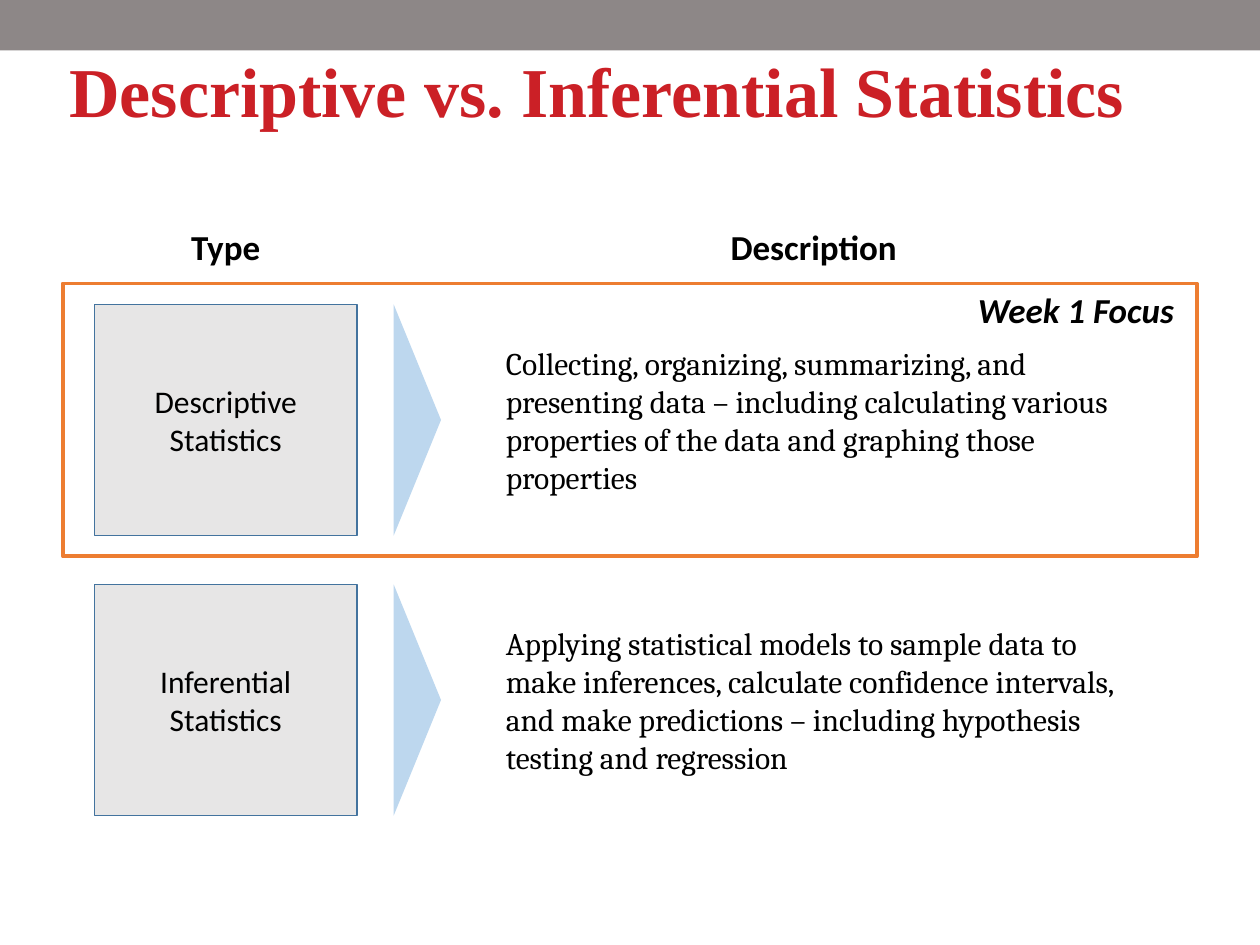
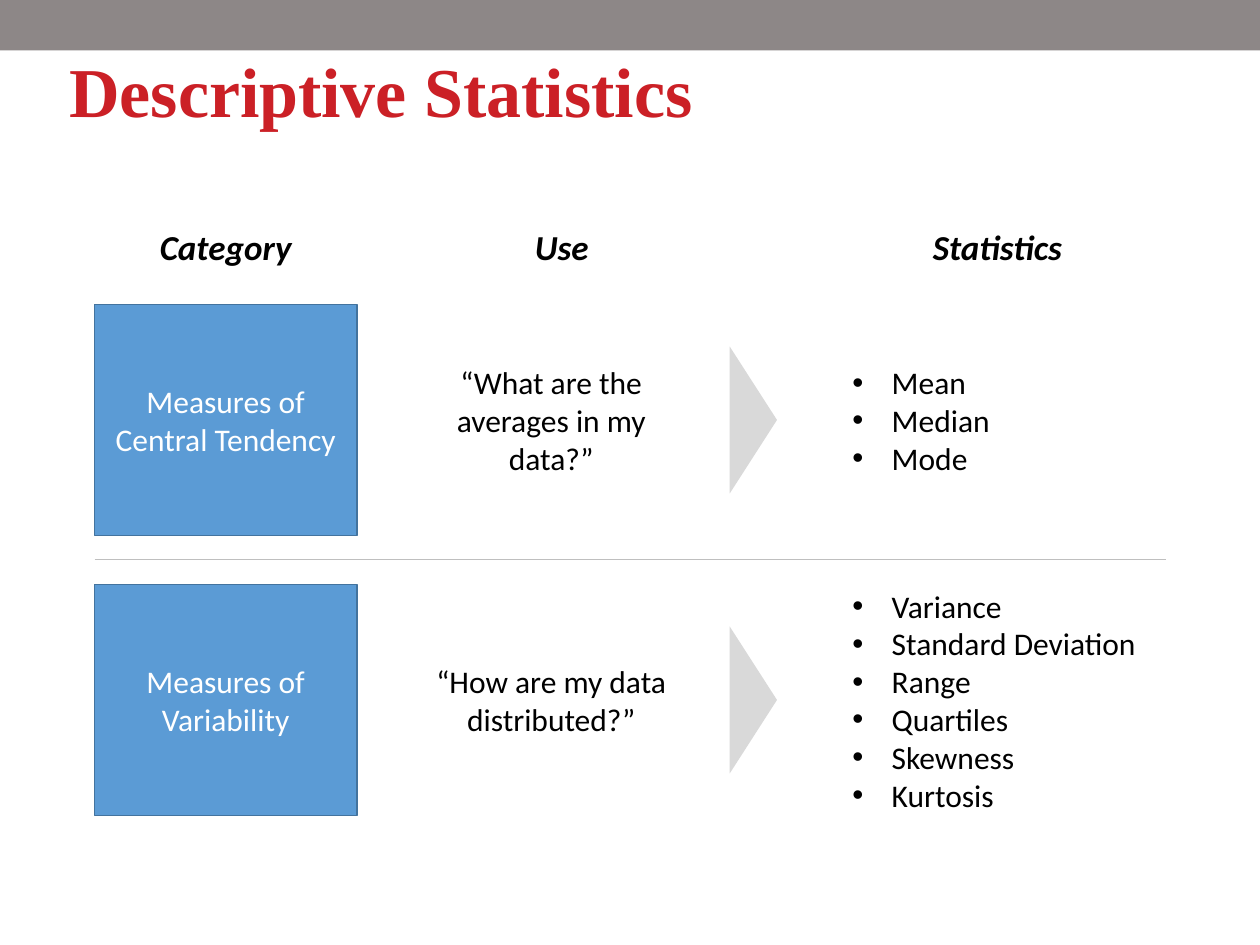
from lxml import etree
from pptx import Presentation
from pptx.dml.color import RGBColor
from pptx.enum import shapes as sh, text as tx
from pptx.oxml import ns
from pptx.util import Pt

# Colours
BLACK = RGBColor(0x00, 0x00, 0x00)
WHITE = RGBColor(0xFF, 0xFF, 0xFF)
RED = RGBColor(0xCB, 0x20, 0x26)
BAND = RGBColor(0x8D, 0x87, 0x87)
PALE = RGBColor(0xE7, 0xE6, 0xE6)
BLUE = RGBColor(0x5B, 0x9B, 0xD5)
EDGE = RGBColor(0x43, 0x73, 0x9E)
SKY = RGBColor(0xBD, 0xD7, 0xEE)
GREY = RGBColor(0xD9, 0xD9, 0xD9)
RULE = RGBColor(0xBF, 0xBF, 0xBF)
ORANGE = RGBColor(0xED, 0x7D, 0x31)

# Shared grid, in points
WIDTH, HEIGHT = 720, 540
LEFT, CARD_W = 54, 150
HEAD_Y, HEAD_H = 126, 30
ROWS, ROW_H = (174, 334), 132
INDENT = 22.5

LEFT_AL, MID, RIGHT = tx.PP_ALIGN.LEFT, tx.PP_ALIGN.CENTER, tx.PP_ALIGN.RIGHT


def add_bullet(para):
    props = para._p.get_or_add_pPr()
    props.set("marL", str(Pt(INDENT)))
    props.set("indent", str(-Pt(INDENT)))
    font = etree.SubElement(props, ns.qn("a:buFont"))
    font.set("typeface", "Arial")
    mark = etree.SubElement(props, ns.qn("a:buChar"))
    mark.set("char", "•")


def write(shape, lines, size=18, face="Calibri", color=BLACK, align=MID,
          bold=False, italic=False, bullet=False):
    frame = shape.text_frame
    frame.word_wrap = True
    frame.vertical_anchor = tx.MSO_ANCHOR.MIDDLE
    for i, line in enumerate(lines):
        para = frame.paragraphs[0] if i == 0 else frame.add_paragraph()
        para.alignment = align
        if bullet:
            add_bullet(para)
        run = para.add_run()
        run.text = line
        font = run.font
        font.name, font.size = face, Pt(size)
        font.bold, font.italic = bold, italic
        font.color.rgb = color


def add_form(slide, kind, box, fill=None, line=None, weight=1):
    form = slide.shapes.add_shape(kind, *map(Pt, box))
    form.shadow.inherit = False
    if fill is None:
        form.fill.background()
    else:
        form.fill.solid()
        form.fill.fore_color.rgb = fill
    if line is None:
        form.line.fill.background()
    else:
        form.line.color.rgb = line
        form.line.width = Pt(weight)
    return form


def add_rect(slide, box, **look):
    return add_form(slide, sh.MSO_SHAPE.RECTANGLE, box, **look)


def add_card(slide, top, label, fill, color):
    card = add_rect(slide, (LEFT, top, CARD_W, ROW_H), fill=fill, line=EDGE)
    write(card, [label], color=color)


def add_wedge(slide, mid_x, top, span, fill):
    """Triangle that points right, centred on its row."""
    depth = 27
    mid_y = top + ROW_H / 2
    box = (mid_x - span / 2, mid_y - depth / 2, span, depth)
    wedge = add_form(slide, sh.MSO_SHAPE.ISOSCELES_TRIANGLE, box, fill=fill)
    wedge.rotation = 90


def add_text(slide, box, lines, **look):
    write(slide.shapes.add_textbox(*map(Pt, box)), lines, **look)


def add_head(slide, x, width, label, italic=False):
    add_text(slide, (x, HEAD_Y, width, HEAD_H), [label],
             size=20, bold=True, italic=italic)


def add_rule(slide, x1, x2, y):
    rule = slide.shapes.add_connector(
        sh.MSO_CONNECTOR.STRAIGHT, Pt(x1), Pt(y), Pt(x2), Pt(y))
    rule.line.color.rgb = RULE
    rule.line.width = Pt(1)
    etree.SubElement(rule._element.spPr, ns.qn("a:effectLst"))


def add_slide(deck, label):
    slide = deck.slides.add_slide(deck.slide_layouts[5])
    title = slide.shapes.title
    title.left, title.top = Pt(36), Pt(28.8)
    title.width, title.height = Pt(648), Pt(51)
    write(title, [label], size=40, face="Times New Roman", color=RED,
          align=LEFT_AL, bold=True)
    frame = title.text_frame
    frame.vertical_anchor = tx.MSO_ANCHOR.TOP
    frame.auto_size = tx.MSO_AUTO_SIZE.SHAPE_TO_FIT_TEXT
    frame.margin_left = frame.margin_right = Pt(3.6)
    frame.margin_top = frame.margin_bottom = Pt(3.6)
    frame.paragraphs[0].line_spacing = 0.9
    return slide


def add_band(deck, slide):
    """Draw the top band and move it to the layout, behind all else."""
    band = add_rect(slide, (0, 0, WIDTH, 28.8), fill=BAND)
    deck.slide_layouts[5].shapes.element.insert(2, band.element)


def build_types(deck):
    slide = add_slide(deck, "Descriptive vs. Inferential Statistics")
    add_band(deck, slide)
    text_x, text_w = 282, 366
    rows = (
        ("Descriptive Statistics",
         "Collecting, organizing, summarizing, and presenting data – "
         "including calculating various properties of the data and "
         "graphing those properties"),
        ("Inferential Statistics",
         "Applying statistical models to sample data to make inferences, "
         "calculate confidence intervals, and make predictions – "
         "including hypothesis testing and regression"),
    )
    add_head(slide, LEFT, CARD_W, "Type")
    add_head(slide, text_x, text_w, "Description")
    for top, (label, about) in zip(ROWS, rows):
        add_card(slide, top, label, PALE, BLACK)
        add_text(slide, (text_x, top, text_w, ROW_H), [about],
                 face="Cambria", align=LEFT_AL)
        add_wedge(slide, 238.5, top, ROW_H, SKY)
    # Focus frame round the first row
    add_rect(slide, (36, 162, 648, 156), line=ORANGE, weight=2.25)
    add_text(slide, (498, 162, 180, HEAD_H), ["Week 1 Focus"],
             size=20, align=RIGHT, bold=True, italic=True)


def build_measures(deck):
    slide = add_slide(deck, "Descriptive Statistics")
    list_x, list_w = 480, 180
    rows = (
        ("Measures of Central Tendency",
         "“What are the averages in my data?”",
         ("Mean", "Median", "Mode")),
        ("Measures of Variability",
         "“How are my data distributed?”",
         ("Variance", "Standard Deviation", "Range", "Quartiles",
          "Skewness", "Kurtosis")),
    )
    heads = ((LEFT, CARD_W, "Category"), (246, CARD_W, "Use"),
             (list_x, list_w, "Statistics"))
    for x, width, label in heads:
        add_head(slide, x, width, label, italic=True)
    for top, (label, use, stats) in zip(ROWS, rows):
        add_card(slide, top, label, BLUE, WHITE)
        add_text(slide, (234, top, 162, ROW_H), [use])
        add_text(slide, (list_x, top, list_w, ROW_H), stats,
                 align=LEFT_AL, bullet=True)
        add_wedge(slide, 430.5, top, 84, GREY)
    # Divider between the rows
    add_rule(slide, LEFT, WIDTH - LEFT, 319.7)


def main():
    deck = Presentation()
    deck.slide_width, deck.slide_height = Pt(WIDTH), Pt(HEIGHT)
    build_types(deck)
    build_measures(deck)
    deck.save("out.pptx")


if __name__ == "__main__":
    main()
